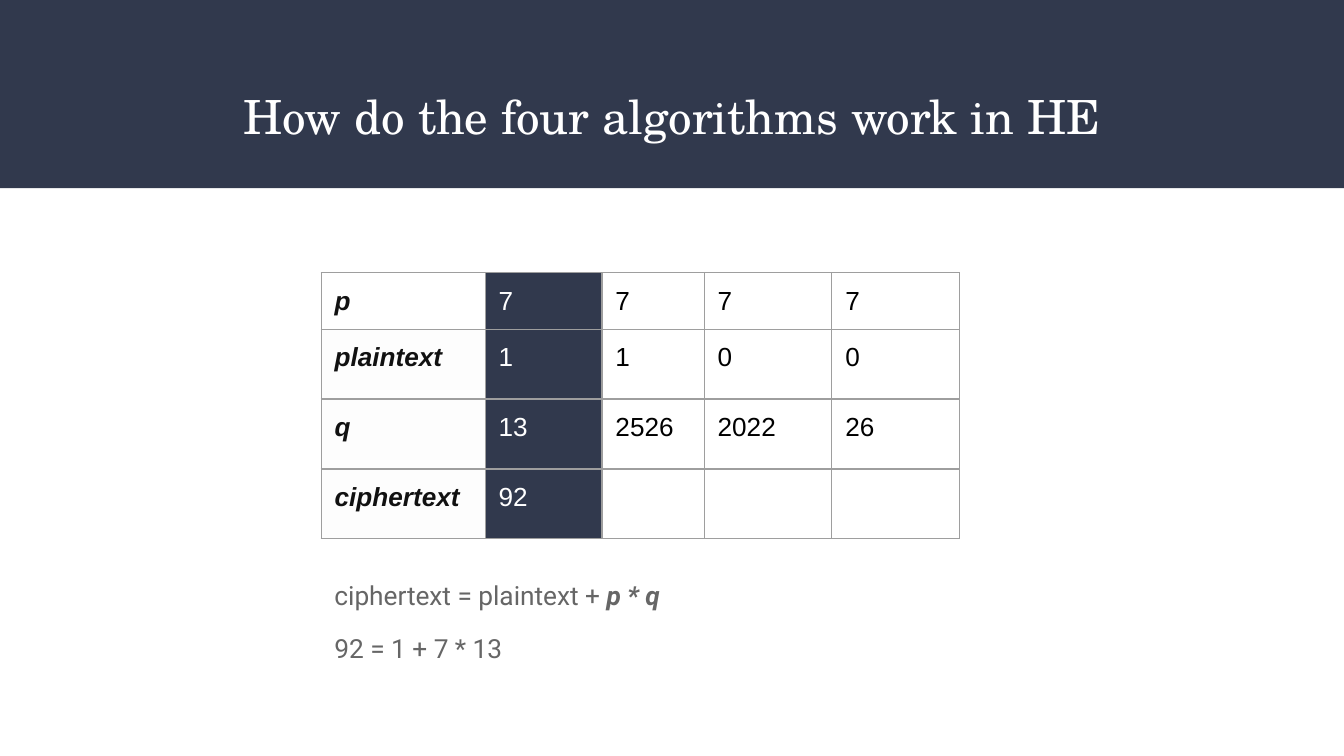
from lxml.etree import SubElement
from pptx import Presentation
from pptx.dml.color import RGBColor
from pptx.enum.shapes import MSO_SHAPE
from pptx.enum.text import MSO_ANCHOR, PP_ALIGN
from pptx.oxml.ns import qn
from pptx.util import Inches, Pt

NAVY = RGBColor(0x31, 0x39, 0x4D)
WHITE = RGBColor(0xFF, 0xFF, 0xFF)
OFF_WHITE = RGBColor(0xFD, 0xFD, 0xFD)
BLACK = RGBColor(0, 0, 0)
INK = RGBColor(0x11, 0x11, 0x11)
GRAY = RGBColor(0x66, 0x66, 0x66)
BORDER = RGBColor(0x9E, 0x9E, 0x9E)

COLUMN_WIDTHS = [1.22, 0.87, 0.76, 0.95, 0.95]
ROW_HEIGHTS = [0.42, 0.52, 0.52, 0.52]
EXAMPLES = [
    ["p", "7", "7", "7", "7"],
    ["plaintext", "1", "1", "0", "0"],
    ["q", "13", "2526", "2022", "26"],
    ["ciphertext", "92", "", "", ""],
]


class SlideBuilder:
    title_font, body_font, table_font = "TeX Gyre Schola", "Roboto", "Arial"
    title_size, body_size, table_size = Pt(25.2), Pt(14.1), Pt(14)
    inset = Inches(0.1)
    cell_bottom_inset = Inches(0.08)

    def __init__(self, slide):
        self.slide = slide

    def set_insets(self, target):
        target.margin_left = target.margin_right = self.inset
        target.margin_top = target.margin_bottom = self.inset

    def add_run(self, paragraph, text, font_name, size, color, emphasis=False):
        run = paragraph.add_run()
        run.text = text
        run.font.name, run.font.size = font_name, size
        run.font.color.rgb = color
        run.font.bold = run.font.italic = emphasis

    def add_band(self, left, top, width, height):
        band = self.slide.shapes.add_shape(
            MSO_SHAPE.RECTANGLE, Inches(left), Inches(top), Inches(width), Inches(height))
        band.shadow.inherit = False
        band.fill.solid()
        band.fill.fore_color.rgb = NAVY
        band.line.fill.background()

    def add_text_frame(self, left, top, width, height):
        box = self.slide.shapes.add_textbox(
            Inches(left), Inches(top), Inches(width), Inches(height))
        frame = box.text_frame
        frame.word_wrap = True
        frame.vertical_anchor = MSO_ANCHOR.TOP
        self.set_insets(frame)
        return frame

    def add_title(self, text, *area):
        heading = self.add_text_frame(*area).paragraphs[0]
        heading.alignment = PP_ALIGN.CENTER
        self.add_run(heading, text, self.title_font, self.title_size, WHITE)

    def add_formulas(self, formulas, *area):
        """Each formula is a list of (text, emphasis) pairs."""
        frame = self.add_text_frame(*area)
        for index, parts in enumerate(formulas):
            line = frame.add_paragraph() if index else frame.paragraphs[0]
            line.line_spacing = 0.95
            if index:
                line.space_before = Pt(12)
            for text, emphasis in parts:
                self.add_run(line, text, self.body_font, self.body_size, GRAY, emphasis)

    def add_borders(self, cell):
        properties = cell._tc.get_or_add_tcPr()
        for side in ("a:lnL", "a:lnR", "a:lnT", "a:lnB"):
            border = SubElement(properties, qn(side), w=str(Pt(0.75)))
            fill = SubElement(border, qn("a:solidFill"))
            SubElement(fill, qn("a:srgbClr"), val=str(BORDER))

    def style_cell(self, cell, text, color, fill, emphasis):
        self.set_insets(cell)
        cell.margin_bottom = self.cell_bottom_inset
        self.add_borders(cell)
        if fill is None:
            cell.fill.background()
        else:
            cell.fill.solid()
            cell.fill.fore_color.rgb = fill
        if text:
            self.add_run(cell.text_frame.paragraphs[0], text, self.table_font,
                         self.table_size, color, emphasis)

    def add_table(self, rows, left, top, widths, heights):
        """Draw a table with label cells first and a highlighted second column."""
        table = self.slide.shapes.add_table(
            len(heights), len(widths), Inches(left), Inches(top),
            Inches(sum(widths)), Inches(sum(heights))).table
        table.first_row = table.horz_banding = False
        for column, width in zip(table.columns, widths):
            column.width = Inches(width)
        for row, height in zip(table.rows, heights):
            row.height = Inches(height)
        for r, values in enumerate(rows):
            for c, text in enumerate(values):
                if c == 0:
                    color, fill = INK, OFF_WHITE if r else WHITE
                elif c == 1:
                    color, fill = WHITE, NAVY
                else:
                    color, fill = BLACK, None
                self.style_cell(table.cell(r, c), text, color, fill, emphasis=c == 0)


def main():
    deck = Presentation()
    deck.slide_width = Inches(10)
    deck.slide_height = deck.slide_width * 9 // 16
    builder = SlideBuilder(deck.slides.add_slide(deck.slide_layouts[6]))
    builder.add_band(0, 0, 10, 1.4)
    builder.add_title("How do the four algorithms work in HE", 0.34, 0.55, 9.32, 0.68)
    builder.add_formulas(
        [[("ciphertext = plaintext + ", False), ("p * q", True)],
         [("92 = 1 + 7 * 13", False)]],
        2.39, 4.23, 5.99, 0.9)
    builder.add_table(EXAMPLES, 2.39, 2.03, COLUMN_WIDTHS, ROW_HEIGHTS)
    deck.save("out.pptx")


if __name__ == "__main__":
    main()
